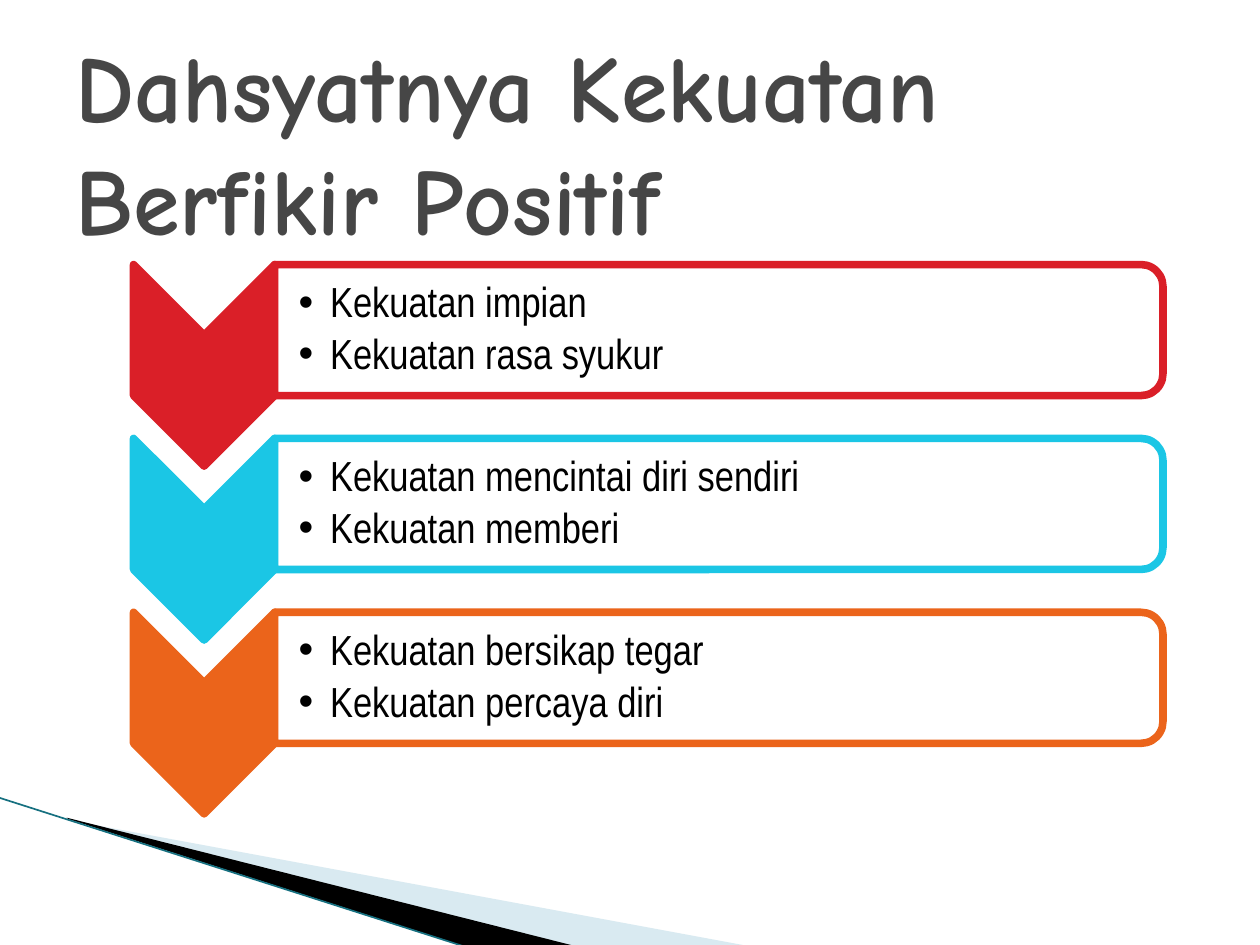
from dataclasses import dataclass

from lxml import etree
from pptx import Presentation
from pptx import util as u
from pptx.dml.color import RGBColor
from pptx.enum import shapes, text
from pptx.oxml import ns


@dataclass(frozen=True)
class Theme:
    """Colours, fonts and sizes of the slide."""
    title: str = "464646"
    body: str = "000000"
    panel: str = "FFFFFF"
    pale: str = "A0CBDC"
    dark: str = "000000"
    edge: str = "167080"
    rows: tuple = ("DA1F28", "1BC6E5", "EB641B")
    head_font: str = "Comic Neue"
    body_font: str = "Arial Narrow"
    head_size: float = 54
    body_size: float = 24
    border: float = 4.33


THEME = Theme()
ROWS = (
    ("Kekuatan impian", "Kekuatan rasa syukur"),
    ("Kekuatan mencintai diri sendiri", "Kekuatan memberi"),
    ("Kekuatan bersikap tegar", "Kekuatan percaya diri"),
)


def rgb(code):
    """Turn a hex code into a colour."""
    return RGBColor.from_string(code)


def paint(shape, fill, line=None, alpha=100):
    """Fill and outline a shape, without shadow."""
    shape.shadow.inherit = False
    shape.fill.solid()
    shape.fill.fore_color.rgb = rgb(fill)
    if alpha < 100:
        color = shape.fill._xPr.find(".//" + ns.qn("a:srgbClr"))
        etree.SubElement(color, ns.qn("a:alpha")).set("val", str(alpha * 1000))
    if line:
        shape.line.color.rgb = rgb(line)
        shape.line.width = u.Pt(THEME.border)
    else:
        shape.line.fill.background()


def style(par, font, size, color, bold=False):
    """Format every run of a paragraph."""
    for run in par.runs:
        run.font.name = font
        run.font.size = u.Pt(size)
        run.font.color.rgb = rgb(color)
        run.font.bold = bold


def add_turned(slide, kind, left, top, width, height):
    """Add a shape turned by a quarter that covers the given box."""
    shape = slide.shapes.add_shape(
        kind,
        u.Inches(left + (width - height) / 2),
        u.Inches(top + (height - width) / 2),
        u.Inches(height),
        u.Inches(width),
    )
    shape.rotation = 90
    return shape


def add_wedge(slide, points, fill, alpha=100):
    """Add a closed, filled outline through the points."""
    spots = [(u.Inches(x), u.Inches(y)) for x, y in points]
    build = slide.shapes.build_freeform(*spots[0])
    build.add_line_segments(spots[1:], close=True)
    paint(build.convert_to_shape(), fill, alpha=alpha)


def add_decor(slide):
    """Draw the sweeping wedges in the lower left corner."""
    add_wedge(slide, [(0.55, 6.51), (5.95, 7.51), (4.56, 7.51), (0.55, 6.5)],
              THEME.pale, 40)
    add_wedge(slide, [(0.53, 6.49), (4.57, 7.51), (3.72, 7.52), (0.54, 6.5)],
              THEME.dark)
    edge = slide.shapes.add_connector(
        shapes.MSO_CONNECTOR.STRAIGHT,
        u.Inches(-0.01), u.Inches(6.33), u.Inches(3.71), u.Inches(7.52))
    edge.line.color.rgb = rgb(THEME.edge)
    edge.line.width = u.Pt(0.95)
    etree.SubElement(edge._element.spPr, ns.qn("a:effectLst"))


def add_title(slide, left, top, width, height):
    """Place and format the title."""
    title = slide.shapes.title
    title.left, title.top = u.Inches(left), u.Inches(top)
    title.width, title.height = u.Inches(width), u.Inches(height)
    frame = title.text_frame
    frame.text = "Dahsyatnya Kekuatan Berfikir Positif"
    frame.word_wrap = True
    frame.auto_size = text.MSO_AUTO_SIZE.NONE
    frame.vertical_anchor = text.MSO_ANCHOR.MIDDLE
    par = frame.paragraphs[0]
    par.alignment = text.PP_ALIGN.LEFT
    style(par, THEME.head_font, THEME.head_size, THEME.title, True)


def add_bullets(slide, items, left, top, width, height):
    """Add a text box with one bullet per item."""
    box = slide.shapes.add_textbox(
        u.Inches(left), u.Inches(top), u.Inches(width), u.Inches(height))
    frame = box.text_frame
    frame.word_wrap = True
    frame.vertical_anchor = text.MSO_ANCHOR.MIDDLE
    frame.margin_left = u.Inches(0.19)
    frame.margin_top = frame.margin_right = frame.margin_bottom = u.Inches(0.02)
    frame.text = "\n".join(items)
    for par in frame.paragraphs:
        par.line_spacing = 0.9
        par.space_after = u.Pt(THEME.body_size * 0.15)
        props = par._p.get_or_add_pPr()
        props.set("marL", str(u.Inches(0.25)))
        props.set("indent", str(u.Inches(-0.25)))
        etree.SubElement(props, ns.qn("a:buFont")).set("typeface", "Arial")
        etree.SubElement(props, ns.qn("a:buChar")).set("char", "•")
        style(par, THEME.body_font, THEME.body_size, THEME.body)


def add_row(slide, items, color, left, top, width, height):
    """Draw a chevron with its panel of bullets in the box."""
    arrow, panel = 1.12, 1.04
    chevron = add_turned(slide, shapes.MSO_SHAPE.CHEVRON,
                         left, top, arrow, height)
    paint(chevron, color, color)
    start, room = left + arrow, width - arrow
    frame = add_turned(slide, shapes.MSO_SHAPE.ROUND_2_SAME_RECTANGLE,
                       start, top, room, panel)
    paint(frame, THEME.panel, color, 90)
    add_bullets(slide, items, start, top + 0.05, room - 0.05, panel - 0.1)


def add_list(slide, left, top, width, height):
    """Stack the rows so that each chevron nests in the next."""
    tall = 1.6
    pitch = (height - tall) / (len(ROWS) - 1)
    for i, (items, color) in enumerate(zip(ROWS, THEME.rows)):
        add_row(slide, items, color, left, top + i * pitch, width, tall)


def main():
    """Build and save the slide."""
    deck = Presentation()
    deck.slide_width, deck.slide_height = u.Inches(10), u.Inches(7.5)
    slide = deck.slides.add_slide(deck.slide_layouts[5])
    add_decor(slide)
    add_list(slide, 1.06, 2.1, 8.17, 4.36)
    add_title(slide, 0.5, 0.3, 8.17, 1.64)
    deck.save("out.pptx")


if __name__ == "__main__":
    main()
